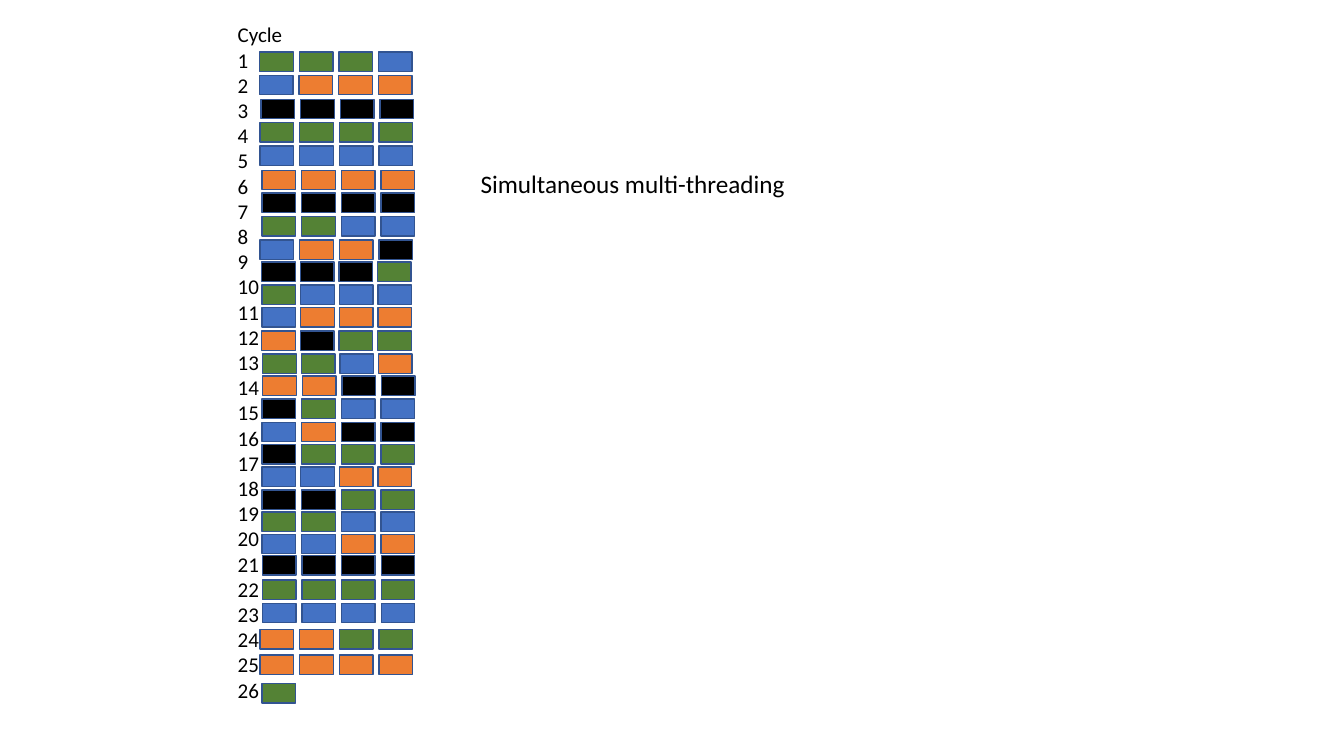
from pptx import Presentation
from pptx.dml.color import RGBColor
from pptx.enum import shapes, text
from pptx.util import Pt

BLUE = RGBColor(0x44, 0x72, 0xC4)
ORANGE = RGBColor(0xED, 0x7D, 0x31)
BLACK = RGBColor(0x00, 0x00, 0x00)
GREEN = RGBColor(0x54, 0x82, 0x35)
OUTLINE = RGBColor(0x32, 0x54, 0x91)
THREADS = {"B": BLUE, "O": ORANGE, "K": BLACK, "G": GREEN}

SLOT_W, SLOT_H = 24, 13.9
WIDE, NARROW = 28.3, 27.6

prs = Presentation()
prs.slide_width, prs.slide_height = Pt(960), Pt(540)
s = prs.slides.add_slide(prs.slide_layouts[6])


def add_text(content, left, top, width, height, size, spacing=None):
    tf = s.shapes.add_textbox(Pt(left), Pt(top), Pt(width), Pt(height)).text_frame
    tf.word_wrap = True
    tf.auto_size = text.MSO_AUTO_SIZE.NONE
    tf.text = content
    for p in tf.paragraphs:
        p.line_spacing = spacing
        for r in p.runs:
            r.font.name = "Calibri"
            r.font.size = Pt(size)
            r.font.color.rgb = BLACK


issue_rows = [
    (185.5, 37.1, WIDE, "GGGB"),
    (185.3, 53.8, WIDE, "BOOO"),
    (186.5, 70.9, WIDE, "KKKK"),
    (185.8, 87.5, WIDE, "GGGG"),
    (185.8, 104.2, WIDE, "BBBB"),
    (187.2, 121.7, WIDE, "OOOO"),
    (187.2, 137.9, WIDE, "KKKK"),
    (187.2, 154.7, WIDE, "GGBB"),
    (185.8, 171.4, WIDE, "BOOK"),
    (186.9, 187.1, NARROW, "KKKG"),
    (187.2, 203.6, NARROW, "GBBB"),
    (187.2, 219.6, NARROW, "BOOO"),
    (187.0, 236.5, NARROW, "OKGG"),
    (187.6, 252.9, NARROW, "GGBO"),
    (187.6, 268.6, WIDE, "OOKK"),
    (187.2, 285.1, WIDE, "KGBB"),
    (187.2, 301.7, WIDE, "BOKK"),
    (187.2, 317.7, WIDE, "KGGG"),
    (187.2, 333.7, NARROW, "BBOO"),
    (187.2, 349.9, WIDE, "KKGG"),
    (187.2, 365.8, WIDE, "GGBB"),
    (187.2, 381.6, WIDE, "BBOO"),
    (187.4, 396.9, WIDE, "KKKK"),
    (187.4, 414.4, WIDE, "GGGG"),
    (187.4, 430.9, WIDE, "BBBB"),
    (185.8, 449.6, WIDE, "OOGG"),
    (185.8, 467.8, WIDE, "OOOO"),
    (187.2, 488.2, WIDE, "G"),
]
for left, top, pitch, threads in issue_rows:
    for i, thread in enumerate(threads):
        sp = s.shapes.add_shape(
            shapes.MSO_SHAPE.RECTANGLE,
            Pt(left + i * pitch), Pt(top), Pt(SLOT_W), Pt(SLOT_H))
        sp.shadow.inherit = False
        sp.fill.solid()
        sp.fill.fore_color.rgb = THREADS[thread]
        sp.line.color.rgb = OUTLINE
        sp.line.width = Pt(1)

cycles = "\n".join(["Cycle"] + [str(n) for n in range(1, 27)])
add_text(cycles, 162.7, 12.2, 50.4, 534, 15, spacing=Pt(18))
add_text("Simultaneous multi-threading", 336.2, 116.6, 233.3, 28.8, 18)

prs.save("out.pptx")
